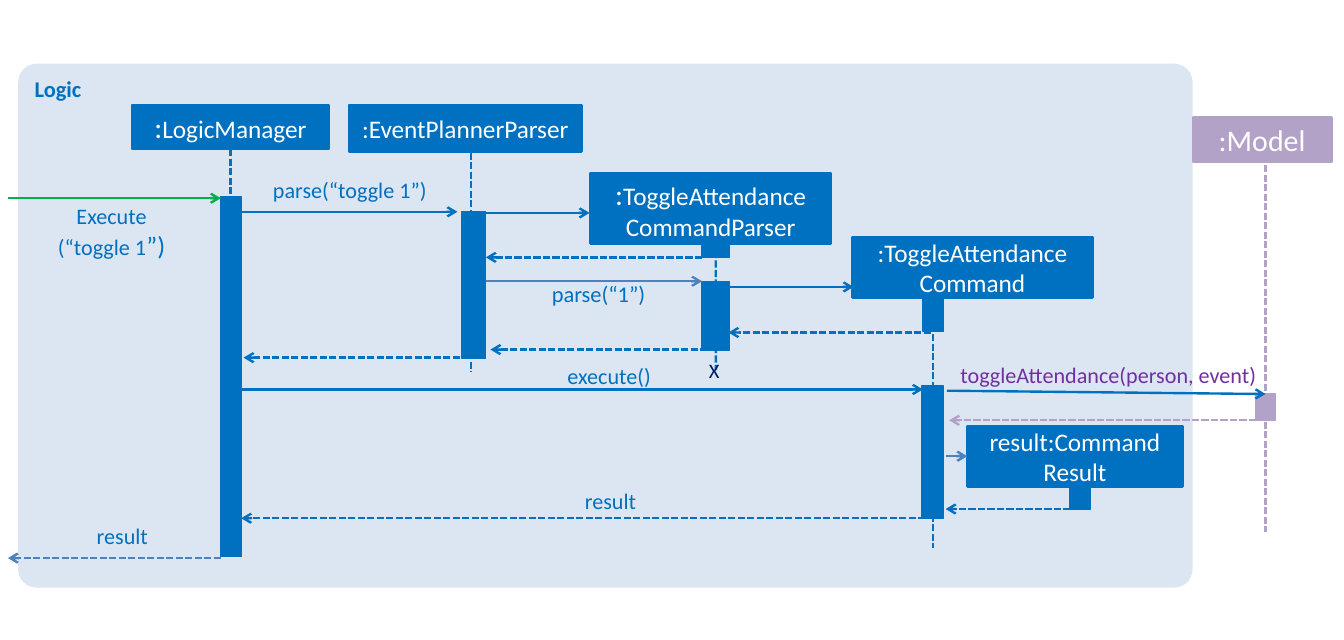
from lxml import etree
from pptx import Presentation
from pptx.dml.color import RGBColor
from pptx.enum.dml import MSO_LINE
from pptx.enum.shapes import MSO_CONNECTOR, MSO_SHAPE
from pptx.enum.text import MSO_ANCHOR as ANCHOR, PP_ALIGN as ALIGN
from pptx.oxml.ns import qn
from pptx.util import Pt

BLUE = RGBColor(0x00, 0x70, 0xC0)
STEEL = RGBColor(0x4F, 0x81, 0xBD)
PALE = RGBColor(0xDC, 0xE6, 0xF2)
GREEN = RGBColor(0x00, 0xB0, 0x50)
LILAC = RGBColor(0xB3, 0xA2, 0xC7)
PURPLE = RGBColor(0x70, 0x30, 0xA0)
NAVY = RGBColor(0x00, 0x20, 0x60)
WHITE = RGBColor(0xFF, 0xFF, 0xFF)
TOP, LEFT, BOTTOM = 0, 1, 2

prs = Presentation()
prs.slide_width, prs.slide_height = Pt(850.3), Pt(404.6)
shapes = prs.slides.add_slide(prs.slide_layouts[6]).shapes


def write_text(shape, lines, size=14, color=BLUE, bold=False, align=ALIGN.CENTER,
               anchor=ANCHOR.TOP, inset=0):
    """Each line is a list of runs; a run is a string or a (string, size) pair."""
    frame = shape.text_frame
    frame.word_wrap = True
    frame.vertical_anchor = anchor
    frame.margin_left = frame.margin_right = Pt(inset)
    frame.margin_top = frame.margin_bottom = Pt(inset / 2)
    for index, runs in enumerate(lines):
        paragraph = frame.paragraphs[0] if index == 0 else frame.add_paragraph()
        paragraph.alignment = align
        for part in runs:
            words, run_size = (part, size) if isinstance(part, str) else part
            run = paragraph.add_run()
            run.text = words
            run.font.name = "Calibri"
            run.font.size = Pt(run_size)
            run.font.bold = bold
            run.font.color.rgb = color


def add_block(left, top, width, height, color, line_width=0.75, kind=MSO_SHAPE.RECTANGLE):
    block = shapes.add_shape(kind, Pt(left), Pt(top), Pt(width), Pt(height))
    block.shadow.inherit = False
    block.fill.solid()
    block.fill.fore_color.rgb = color
    if line_width:
        block.line.color.rgb = color
        block.line.width = Pt(line_width)
    else:
        block.line.fill.background()
    return block


logic_frame = add_block(11.5, 40.3, 743, 331.2, PALE, 0, MSO_SHAPE.ROUNDED_RECTANGLE)
logic_frame.adjustments[0] = 0.035
write_text(logic_frame, [["Logic"]], size=14.2, bold=True, align=ALIGN.LEFT, inset=7.2)

# Participants: left, top, width, height, colour, lines
participants = {
    "manager": (83.5, 66.2, 124.6, 28.1, BLUE, [[(":", 18.9), "LogicManager"]]),
    "planner": (221, 66.2, 146.9, 29.5, BLUE, [[":EventPlannerParser"]]),
    "parser": (373.7, 109.4, 151.9, 44.6, BLUE,
               [[(":", 18.9), "ToggleAttendance"], ["CommandParser"]]),
    "command": (539.3, 149.8, 151.9, 38.2, BLUE, [[":ToggleAttendance"], ["Command"]]),
    "outcome": (612, 269.3, 136.1, 38.2, BLUE, [["result:Command Result"]]),
    "model": (754.6, 74.2, 87.8, 28.1, LILAC, [[(":Model", 18.9)]]),
}
# Activation bars: left, top, width, height, colour
activations = {
    "manager run": (139.7, 124.6, 13, 227.5, BLUE),
    "planner run": (292.3, 133.9, 15.1, 92.9, BLUE),
    "parser birth": (444.2, 152.6, 17.3, 10.1, BLUE),
    "parser run": (444.2, 177.8, 17.3, 43.9, BLUE),
    "command birth": (583.9, 187.2, 13, 22.3, BLUE),
    "command run": (583.2, 244.1, 13.7, 83.5, BLUE),
    "outcome birth": (676.8, 307.4, 13, 14.4, BLUE),
    "model run": (794.2, 249.1, 13, 16.6, LILAC),
}
# Lifelines: x, top, bottom, colour, joined block and side
lifelines = [
    (145.8, 94.3, 308.9, BLUE, ("manager", BOTTOM)),
    (298.1, 96.5, 235.4, BLUE, None),
    (452.9, 152.6, 234, BLUE, ("parser birth", TOP)),
    (590.4, 187.2, 346.3, BLUE, ("command birth", TOP)),
    (800.7, 104.4, 336.2, LILAC, None),
]
# Messages: from x, from y, to x, to y, colour, dashed, joined start, joined end
messages = [
    (5, 125.3, 139.7, 125.3, GREEN, False, None, None),
    (152.6, 133.9, 289.4, 133.9, BLUE, False, None, None),
    (307.4, 134.6, 373, 134.6, BLUE, False, None, None),
    (444.2, 162.7, 307.4, 162.7, BLUE, True, None, None),
    (307.4, 177.8, 444.2, 177.8, STEEL, False, None, None),
    (460.8, 181.4, 540, 181.4, BLUE, False, None, None),
    (589, 210.2, 460.8, 210.2, BLUE, True, None, None),
    (453.6, 221, 310.3, 221, BLUE, True, None, None),
    (290.9, 226.1, 154.1, 226.1, BLUE, True, None, None),
    (152.6, 246.2, 583.9, 246.2, BLUE, False, None, None),
    (599, 247, 800.7, 249.1, BLUE, False, None, ("model run", TOP)),
    (800.7, 265.7, 600.5, 265.7, LILAC, True, ("model run", BOTTOM), None),
    (598.3, 288.4, 612, 288.4, STEEL, False, None, ("outcome", LEFT)),
    (683.3, 321.8, 598.3, 321.8, BLUE, True, ("outcome birth", BOTTOM), None),
    (585.4, 327.6, 152.6, 327.6, BLUE, True, None, None),
    (139.7, 352.8, 5, 352.8, STEEL, True, None, None),
]
# Labels: left, top, width, height, lines, size, colour, alignment
labels = [
    (-15.8, 128.2, 172.8, 36.7, [["Execute"], ["(“toggle 1", ("”)", 16.5)]],
     14, BLUE, ALIGN.CENTER),
    (127.4, 111.6, 142.6, 17.3, [["parse(“toggle 1”)"]], 14, BLUE, ALIGN.RIGHT),
    (328.3, 177.1, 79.9, 17.3, [["parse(“1”)"]], 14.2, BLUE, ALIGN.RIGHT),
    (338.4, 229, 73.4, 17.3, [["execute()"]], 14, BLUE, ALIGN.RIGHT),
    (599.8, 228.2, 195.1, 17.3, [["toggleAttendance(person, event)"]], 14, PURPLE, ALIGN.RIGHT),
    (349.2, 308.2, 53.3, 17.3, [["result"]], 14, BLUE, ALIGN.RIGHT),
    (28.1, 330.5, 65.5, 17.3, [["result"]], 14, BLUE, ALIGN.RIGHT),
    (442.1, 226.1, 19.4, 16, [["X"]], 13, NAVY, ALIGN.CENTER),
]

links = [(x, top, x, bottom, color, True, joint, None, False)
         for x, top, bottom, color, joint in lifelines]
links += [(*message, True) for message in messages]

blocks = {}
for part, (*place, color) in activations.items():
    blocks[part] = add_block(*place, color)
for part, (*place, color, lines) in participants.items():
    blocks[part] = add_block(*place, color, line_width=1.5)
    write_text(blocks[part], lines, size=16, color=WHITE, anchor=ANCHOR.MIDDLE)

for x1, y1, x2, y2, color, dashed, start, end, arrow in links:
    link = shapes.add_connector(MSO_CONNECTOR.STRAIGHT, Pt(x1), Pt(y1), Pt(x2), Pt(y2))
    if start:
        link.begin_connect(blocks[start[0]], start[1])
    if end:
        link.end_connect(blocks[end[0]], end[1])
    link.line.color.rgb = color
    link.line.width = Pt(1.5)
    if dashed:
        link.line.dash_style = MSO_LINE.SQUARE_DOT
    properties = link._element.spPr
    if arrow:
        etree.SubElement(properties.find(qn("a:ln")), qn("a:tailEnd"), type="arrow")
    else:
        # Lifelines run behind the bars and participants
        shapes._spTree.remove(link._element)
        logic_frame._element.addnext(link._element)
    etree.SubElement(properties, qn("a:effectLst"))

for left, top, width, height, lines, size, color, align in labels:
    label = shapes.add_textbox(Pt(left), Pt(top), Pt(width), Pt(height))
    write_text(label, lines, size=size, color=color, align=align)

prs.save("out.pptx")
